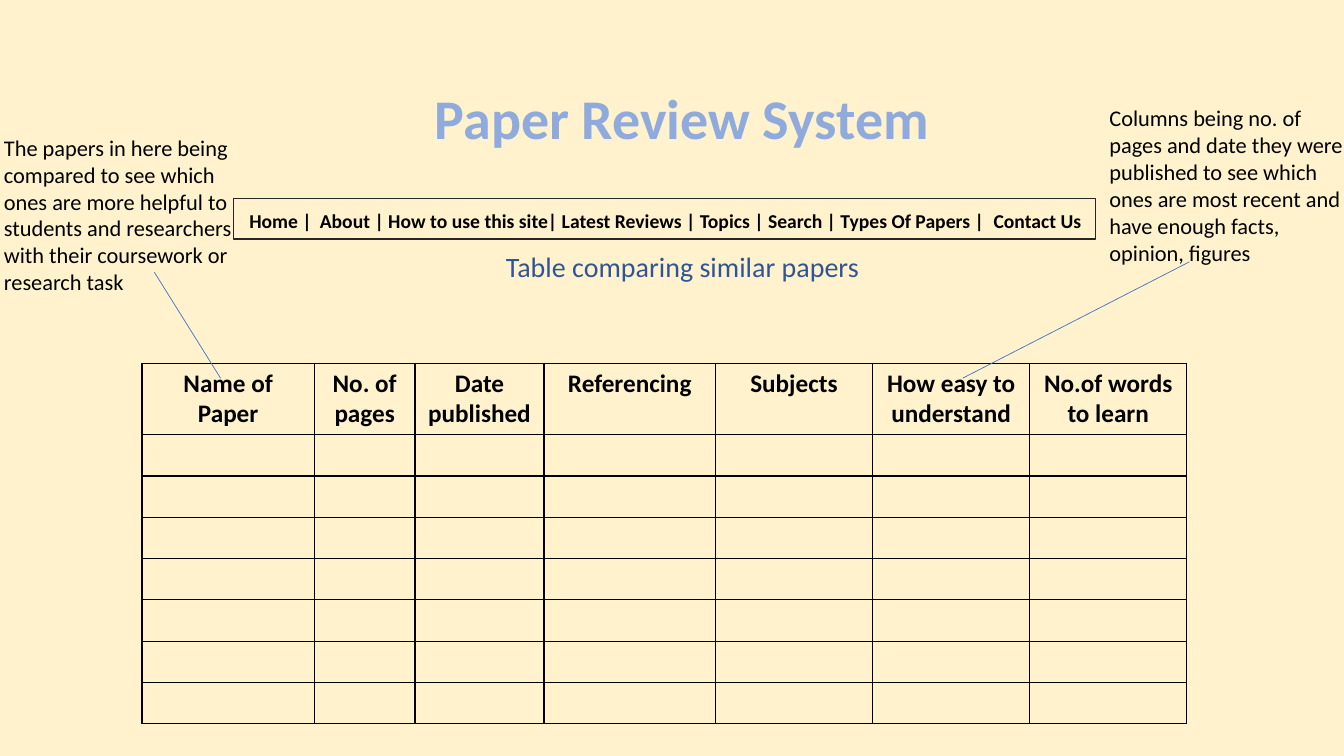
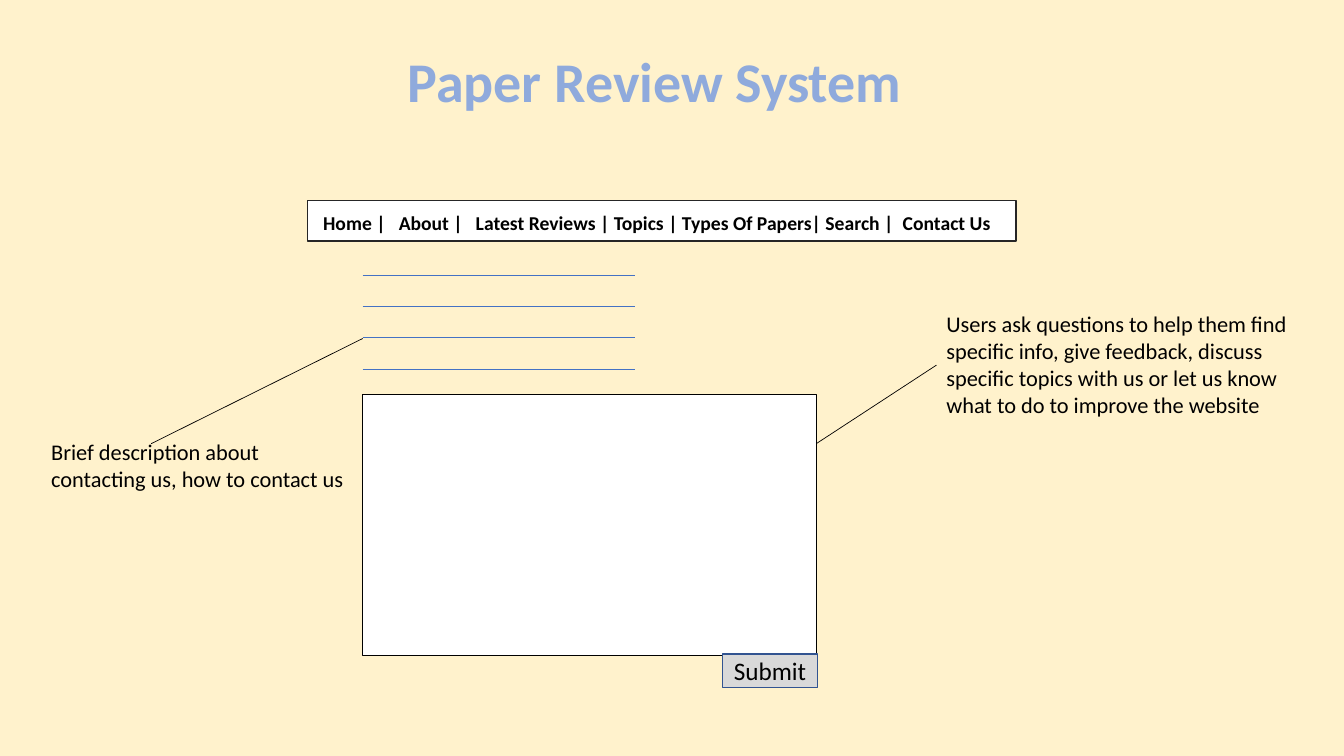
from dataclasses import dataclass
from typing import NamedTuple

from lxml.etree import SubElement
from pptx import Presentation
from pptx.dml.color import RGBColor
from pptx.enum.shapes import MSO_CONNECTOR, MSO_SHAPE
from pptx.enum.text import MSO_ANCHOR, MSO_AUTO_SIZE, PP_ALIGN
from pptx.oxml.ns import qn
from pptx.util import Cm, Pt


@dataclass(frozen=True)
class Theme:
    font: str = "Calibri"
    paper: str = "FFF2CC"
    white: str = "FFFFFF"
    black: str = "000000"
    frame: str = "262626"
    blue: str = "4472C4"
    title: str = "8FAADC"
    deep: str = "2F5597"
    gray: str = "D9D9D9"
    edge: str = "325491"
    title_size: float = 40
    sub_size: float = 20
    body_size: float = 18
    note_size: float = 16
    nav_size: float = 14
    hair: float = 0.5
    thin: float = 0.75
    line: float = 1
    trim: float = 0.8


THEME = Theme()


class Box(NamedTuple):
    x: float
    y: float
    w: float
    h: float


class Note(NamedTuple):
    box: Box
    text: str


class Line(NamedTuple):
    x1: float
    y1: float
    x2: float
    y2: float
    color: str = THEME.blue


HEADS = {
    "Name of Paper": 4.34,
    "No. of pages": 2.54,
    "Date published": 3.25,
    "Referencing": 4.32,
    "Subjects": 3.96,
    "How easy to understand": 3.96,
    "No.of words to learn": 3.96,
}
ROWS = [1.8] + [1.04] * 7
TABLE_NOTES = [
    Note(Box(27.71, 2.51, 6.53, 4.37),
         "Columns being no. of pages and date they were published to see "
         "which ones are most recent and have enough facts, opinion, figures"),
    Note(Box(-0.15, 3.25, 6.53, 4.37),
         "The papers in here being compared to see which ones are more helpful "
         "to students and researchers with their coursework or research task"),
]
TABLE_LINES = [Line(24.26, 9.53, 29.97, 6.6), Line(5.56, 9.53, 3.89, 6.86)]
FORM = Box(9.14, 9.93, 11.43, 6.58)
RULES = [Line(FORM.x, 6.93 + 0.79 * i, 16, 6.93 + 0.79 * i) for i in range(4)]
BRIEF = Note(Box(1.04, 10.92, 8.13, 1.63),
             "Brief description about contacting us, how to contact us")
USERS = Note(Box(23.6, 7.7, 10.01, 3),
             "Users ask questions to help them find specific info, give feedback, "
             "discuss specific topics with us or let us know what to do to "
             "improve the website")


def apply(item, **values) -> None:
    for name, value in values.items():
        setattr(item, name, value)


def place(box: Box) -> list:
    return [Cm(side) for side in box]


def write(para, text: str, size: float, color: str = THEME.black,
          bold: bool = False):
    run = para.add_run()
    run.text = text
    apply(run.font, name=THEME.font, size=Pt(size), bold=bold)
    run.font.color.rgb = RGBColor.from_string(color)
    return run


def set_frame(shape, anchor=MSO_ANCHOR.TOP, grow: bool = True):
    fit = MSO_AUTO_SIZE.SHAPE_TO_FIT_TEXT if grow else MSO_AUTO_SIZE.NONE
    apply(shape.text_frame, word_wrap=True, auto_size=fit,
          vertical_anchor=anchor)
    return shape.text_frame.paragraphs[0]


def add_rect(slide, box: Box, fill: str, edge: str = "",
             width: float = THEME.line):
    shape = slide.shapes.add_shape(MSO_SHAPE.RECTANGLE, *place(box))
    shape.shadow.inherit = False
    shape.fill.solid()
    shape.fill.fore_color.rgb = RGBColor.from_string(fill)
    if edge:
        shape.line.color.rgb = RGBColor.from_string(edge)
        shape.line.width = Pt(width)
    else:
        shape.line.fill.background()
    return shape


def add_text(slide, note: Note, size: float = THEME.note_size,
             color: str = THEME.black, align=PP_ALIGN.LEFT):
    shape = slide.shapes.add_textbox(*place(note.box))
    para = set_frame(shape)
    para.alignment = align
    write(para, note.text, size, color)
    return shape


def add_line(slide, line: Line):
    ends = [Cm(value) for value in line[:4]]
    link = slide.shapes.add_connector(MSO_CONNECTOR.STRAIGHT, *ends)
    link.line.color.rgb = RGBColor.from_string(line.color)
    link.line.width = Pt(THEME.hair)
    SubElement(link._element.spPr, qn("a:effectLst"))
    return link


def add_stroke(parent, tag: str, color: str, width: float):
    stroke = SubElement(parent, qn(tag), w=str(Pt(width)))
    fill = SubElement(stroke, qn("a:solidFill"))
    SubElement(fill, qn("a:srgbClr"), val=color)
    return stroke


def add_title(slide, box: Box) -> None:
    para = set_frame(add_rect(slide, box, THEME.paper))
    para.alignment = PP_ALIGN.CENTER
    run = write(para, "Paper Review System", THEME.title_size, THEME.title, True)
    props = run.font._element
    props.insert(0, add_stroke(props, "a:ln", THEME.blue, THEME.trim))


def add_nav(slide, box: Box, fill: str, text: str, stops: list[float]) -> None:
    para = set_frame(add_rect(slide, box, fill, THEME.frame))
    para.alignment = PP_ALIGN.LEFT
    tabs = SubElement(para._p.get_or_add_pPr(), qn("a:tabLst"))
    for stop in stops:
        SubElement(tabs, qn("a:tab"), pos=str(Cm(stop)), algn="l")
    write(para, " ", THEME.body_size)
    write(para, text, THEME.nav_size, bold=True)


def add_grid(slide) -> None:
    box = Box(3.58, 9.15, sum(HEADS.values()), sum(ROWS))
    table = slide.shapes.add_table(len(ROWS), len(HEADS), *place(box)).table
    apply(table, first_row=False, horz_banding=False)
    for col, width in zip(table.columns, HEADS.values()):
        col.width = Cm(width)
    for row, height in zip(table.rows, ROWS):
        row.height = Cm(height)
    for cell in table.iter_cells():
        props = cell._tc.get_or_add_tcPr()
        for side in "LRTB":
            add_stroke(props, f"a:ln{side}", THEME.black, THEME.line)
        cell.fill.background()
    for cell, head in zip(table.rows[0].cells, HEADS):
        para = cell.text_frame.paragraphs[0]
        para.alignment = PP_ALIGN.CENTER
        write(para, head, THEME.body_size, bold=True)


def draw_table(slide) -> None:
    add_grid(slide)
    for note in TABLE_NOTES:
        add_text(slide, note)
    for line in TABLE_LINES:
        add_line(slide, line)
    add_nav(slide, Box(5.89, 5, 21.72, 1.02), THEME.paper,
            "Home |\tAbout | How to use this site| Latest Reviews | Topics | "
            "Search | Types Of Papers |\tContact Us", [1.92, 18.9])
    add_title(slide, Box(10.67, 1.98, 13.03, 1.96))
    add_text(slide, Note(Box(12.27, 6.17, 9.86, 1.12),
                         "Table comparing similar papers"),
             THEME.sub_size, THEME.deep, PP_ALIGN.CENTER)


def draw_contact(slide) -> None:
    add_nav(slide, Box(7.75, 5.05, 17.86, 1.02), THEME.white,
            "Home |\tAbout |\tLatest Reviews | Topics | Types Of Papers| "
            "Search |\tContact Us", [2.05, 3.99, 14.75])
    add_rect(slide, FORM, THEME.white, THEME.black, THEME.thin)
    button = add_rect(slide, Box(18.21, 16.48, 2.39, 0.84), THEME.gray, THEME.edge)
    para = set_frame(button, MSO_ANCHOR.MIDDLE, False)
    para.alignment = PP_ALIGN.CENTER
    write(para, "Submit", THEME.body_size)
    for rule in RULES:
        add_line(slide, rule)
    add_text(slide, BRIEF)
    add_line(slide, Line(3.81, 11.18, FORM.x, 8.53, THEME.black))
    users = add_text(slide, USERS)
    link = add_line(slide, Line(FORM.x + FORM.w, 11.18, 23.6, 9.2, THEME.black))
    link.end_connect(users, 1)
    add_title(slide, Box(7.39, 1.04, 18.21, 1.96))


def main() -> None:
    deck = Presentation()
    apply(deck, slide_width=Cm(33.87), slide_height=Cm(19.05))
    back = deck.slide_master.background.fill
    back.solid()
    back.fore_color.rgb = RGBColor.from_string(THEME.paper)
    for draw in (draw_table, draw_contact):
        draw(deck.slides.add_slide(deck.slide_layouts[6]))
    deck.save("out.pptx")


if __name__ == "__main__":
    main()
